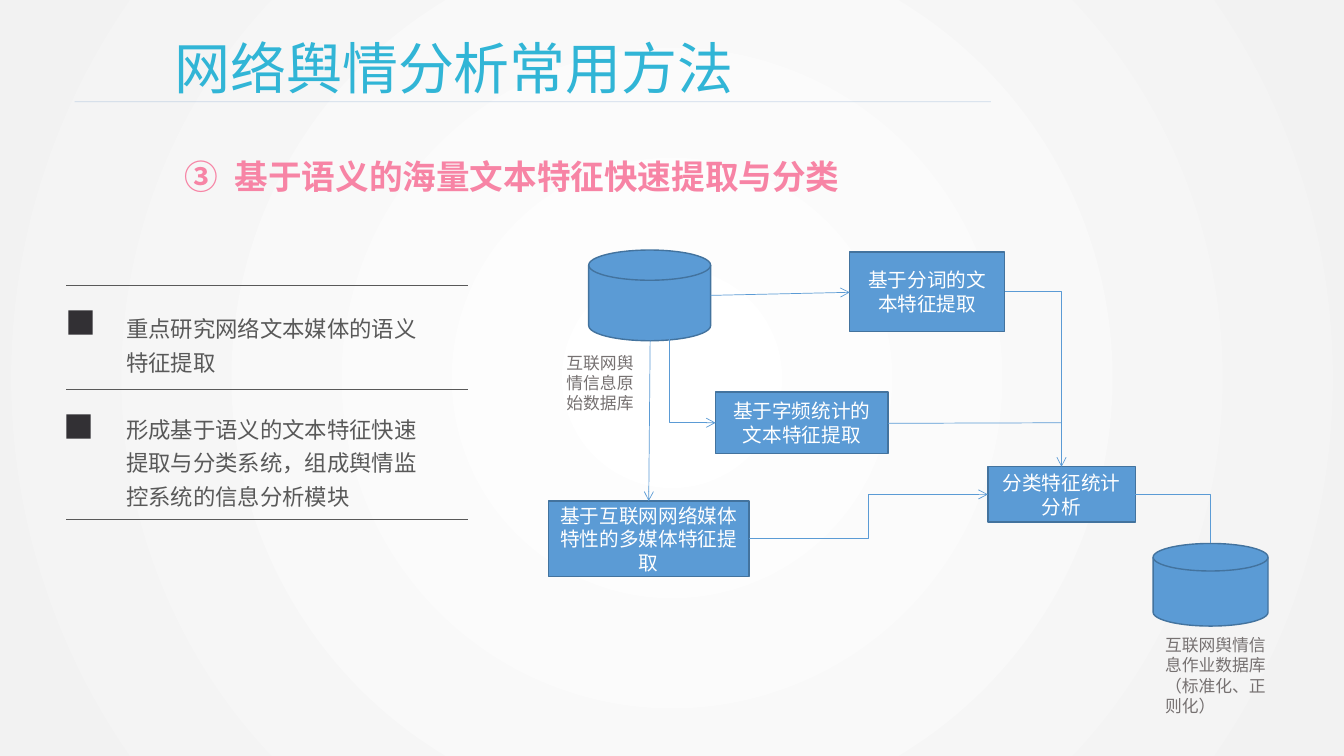
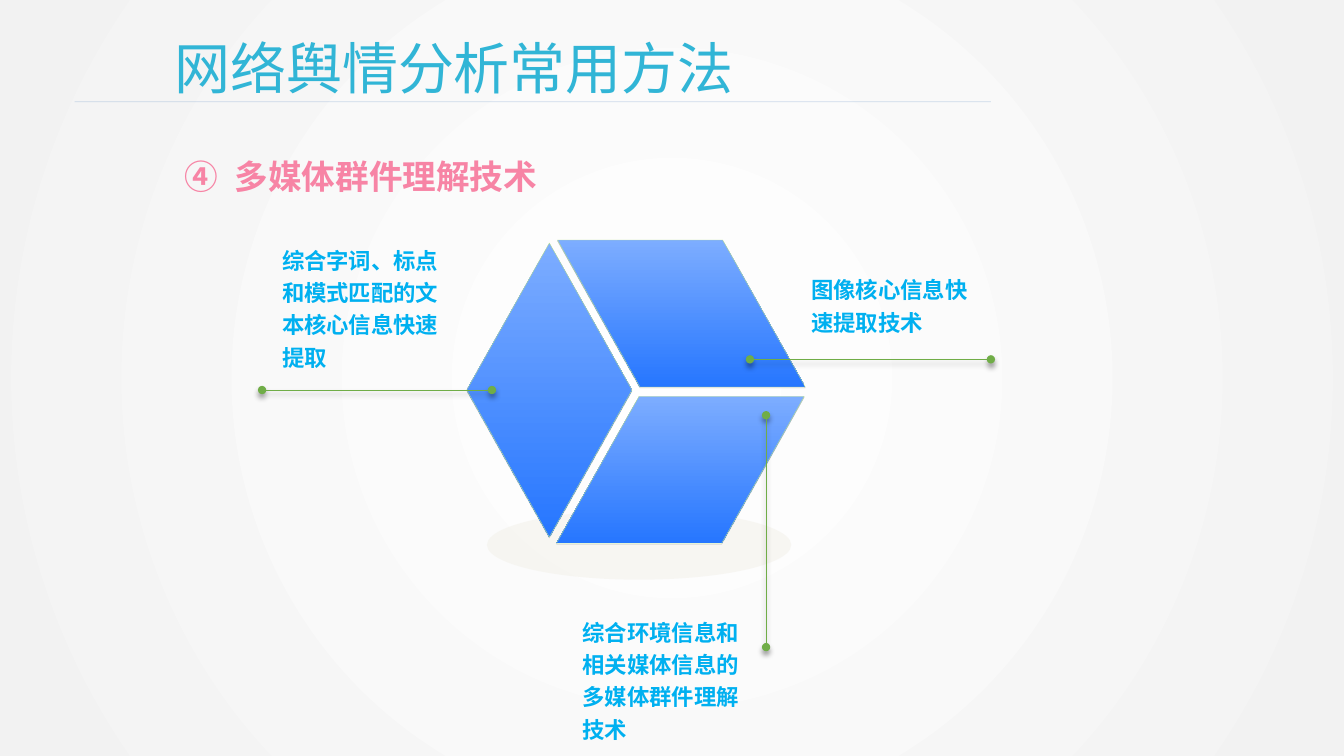
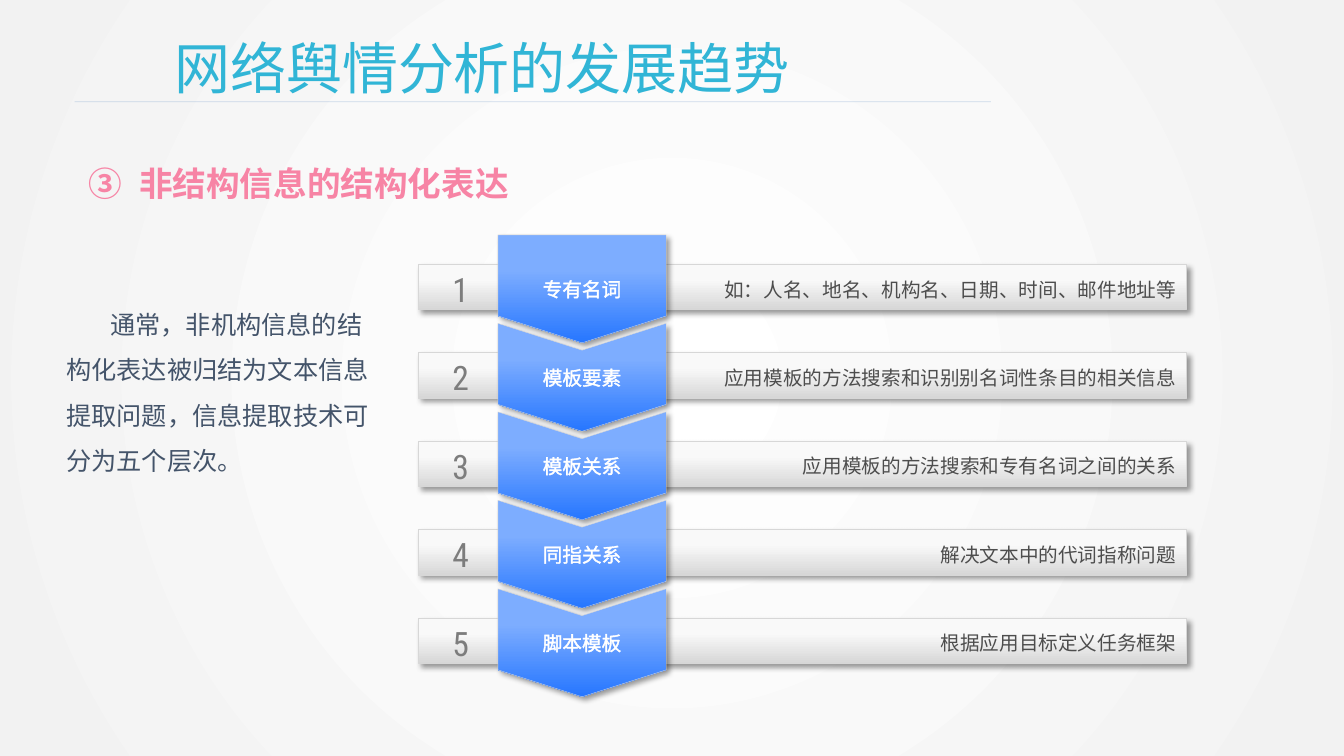
from lxml.etree import SubElement
from pptx import Presentation
from pptx.dml.color import RGBColor
from pptx.enum.shapes import MSO_CONNECTOR as Wire, MSO_SHAPE as Preset
from pptx.enum.text import MSO_ANCHOR as Anchor, MSO_AUTO_SIZE as Fit, PP_ALIGN as Align
from pptx.oxml.ns import qn
from pptx.util import Pt

CJK = "Noto Sans CJK SC"
DIGITS = "Roboto Condensed"

WHITE = RGBColor(0xFF, 0xFF, 0xFF)
PAPER = RGBColor(0xF2, 0xF2, 0xF2)
TITLE_CYAN = RGBColor(0x31, 0xB5, 0xD6)
TITLE_RULE = RGBColor(0x4A, 0x7E, 0xBB)
PINK = RGBColor(0xF7, 0x84, 0xA5)
FLOW_BLUE = RGBColor(0x5B, 0x9B, 0xD5)
FLOW_EDGE = RGBColor(0x43, 0x73, 0x9E)
CAPTION_GRAY = RGBColor(0x76, 0x71, 0x71)
POINT_GRAY = RGBColor(0x59, 0x59, 0x59)
MARKER = RGBColor(0x32, 0x30, 0x34)
SKY = RGBColor(0x00, 0xB0, 0xF0)
GREEN = RGBColor(0x70, 0xAD, 0x47)
FACET_EDGE = RGBColor(0xB8, 0xE0, 0x8C)
LIGHT_BLUE = RGBColor(0x7D, 0xAD, 0xFF)
DEEP_BLUE = RGBColor(0x26, 0x76, 0xFF)
UNDER_GRAY = RGBColor(0xDD, 0xDD, 0xDD)
UNDER_EDGE = RGBColor(0xC0, 0xC0, 0xC0)
GROUND = RGBColor(0xEE, 0xEC, 0xE1)
BAR_LIGHT = RGBColor(0xF9, 0xF9, 0xF9)
BAR_DARK = RGBColor(0xD7, 0xD7, 0xD7)
BAR_TEXT = RGBColor(0x4D, 0x4D, 0x4D)
DIGIT_GRAY = RGBColor(0x7D, 0x7D, 0x7D)
SLATE = RGBColor(0x44, 0x54, 0x6A)

TOP, LEFT, RIGHT = 0, 1, 3  # connection sites of a rectangle
FACET_HALF, FACET_RISE = 59, 105


# ---- Shared drawing helpers ----
def add_xml(parent, tag, **attrs):
    return SubElement(parent, qn(tag), {key: str(value) for key, value in attrs.items()})


def set_alpha(owner, percent):
    add_xml(next(owner.iter(qn("a:srgbClr"))), "a:alpha", val=percent * 1000)


def set_shadow(shape, angle=None):
    """Drop the theme's shadow; with an angle, cast a soft one that way."""
    props = shape.element.spPr
    effects = props.find(qn("a:effectLst"))
    if effects is None:
        effects = add_xml(props, "a:effectLst")
    if angle is not None:
        cast = add_xml(effects, "a:outerShdw", blurRad=Pt(4), dist=Pt(3),
                       dir=angle * 60000, algn="tl", rotWithShape=0)
        add_xml(cast, "a:srgbClr", val="000000")
        set_alpha(cast, 40)


def set_gradient(fill, first, last, start=0):
    """Run the colours from top to bottom."""
    fill.gradient()
    fill.gradient_angle = 270
    for stop, color, place in zip(fill.gradient_stops, (first, last), (start, 1)):
        stop.color.rgb = color
        stop.position = place


def paint(shape, fill, edge=None, width=1, shadow=None):
    """Fill with one colour, or with a tuple of gradient arguments."""
    if isinstance(fill, RGBColor):
        shape.fill.solid()
        shape.fill.fore_color.rgb = fill
    else:
        set_gradient(shape.fill, *fill)
    if edge is None:
        shape.line.fill.background()
    else:
        shape.line.color.rgb = edge
        shape.line.width = Pt(width)
    shape.shadow.inherit = False
    set_shadow(shape, shadow)
    return shape


def block(slide, preset, box, fill, **look):
    return paint(slide.shapes.add_shape(preset, *map(Pt, box)), fill, **look)


def polygon(slide, points, fill, **look):
    corners = [(Pt(x), Pt(y)) for x, y in points]
    builder = slide.shapes.build_freeform(*corners[0], scale=1.0)
    builder.add_line_segments(corners[1:], close=True)
    return paint(builder.convert_to_shape(), fill, **look)


def write(shape, text, *, size, color, font=CJK, bold=False, align=Align.LEFT,
          anchor=Anchor.MIDDLE, spacing=None, indent=0, number=None, outline=None):
    frame = shape.text_frame
    frame.word_wrap = True
    frame.vertical_anchor = anchor
    for index, line in enumerate(text.split("\n")):
        para = frame.add_paragraph() if index else frame.paragraphs[0]
        para.alignment = align
        if spacing:
            para.line_spacing = spacing
        layout = para._p.get_or_add_pPr()
        if indent:
            layout.set("indent", str(Pt(indent)))
        if number:
            layout.set("marL", str(Pt(36)))
            layout.set("indent", str(Pt(-36)))
            add_xml(layout, "a:buFont", typeface=font)
            add_xml(layout, "a:buAutoNum", type="circleNumDbPlain", startAt=number)
        run = para.add_run()
        run.text = line
        run.font.size = Pt(size)
        run.font.bold = bold
        run.font.name = font
        run.font.color.rgb = color
        add_xml(run.font._element, "a:ea", typeface=font)
        if outline:
            run.font._element.insert(0, outline_of(run.font._element, outline))
    return shape


def outline_of(run_props, color):
    stroke = add_xml(run_props, "a:ln", w=Pt(0.75))
    add_xml(add_xml(stroke, "a:solidFill"), "a:srgbClr", val=color)
    return stroke


def label(slide, box, text, **style):
    holder = slide.shapes.add_textbox(*map(Pt, box))
    write(holder, text, anchor=Anchor.TOP, **style)
    holder.text_frame.auto_size = Fit.SHAPE_TO_FIT_TEXT
    return holder


def wire(slide, start, end, color, kind=Wire.STRAIGHT, head=None, tail=None, shadow=None):
    link = slide.shapes.add_connector(kind, *map(Pt, (*start, *end)))
    link.line.color.rgb = color
    link.line.width = Pt(0.5)
    stroke = link.element.spPr.find(qn("a:ln"))
    if head:
        add_xml(stroke, "a:headEnd", type=head)
    if tail:
        add_xml(stroke, "a:tailEnd", type=tail)
    set_shadow(link, shadow)
    return link


def make_corner(link):
    """Turn an elbow with two bends into one with a single bend."""
    link.element.spPr.find(qn("a:prstGeom")).set("prst", "bentConnector2")


# ---- Shared page parts ----
def set_background(master):
    fill = master.background.fill
    set_gradient(fill, WHITE, PAPER)
    gradient = next(master.element.iter(qn("a:gradFill")))
    gradient.remove(gradient.find(qn("a:lin")))
    circle = add_xml(gradient, "a:path", path="circle")
    add_xml(circle, "a:fillToRect", l=50000, t=50000, r=50000, b=50000)


def add_page(deck, title, heading, number, heading_box):
    slide = deck.slides.add_slide(deck.slide_layouts[6])
    label(slide, (117.4, 20.2, 612, 55.4), title, size=40, color=TITLE_CYAN)
    rule = wire(slide, (53.3, 72.7), (707.8, 72.7), TITLE_RULE)
    set_alpha(rule.element.spPr, 25)
    label(slide, heading_box, heading, size=24, color=PINK, bold=True, number=number)
    return slide


# ---- Slide 1: flow of feature extraction ----
def add_flow(slide, x, y):
    def disk(box):
        left, top, width, height = box
        return block(slide, Preset.FLOWCHART_MAGNETIC_DISK,
                     (x + left, y + top, width, height), FLOW_BLUE, edge=FLOW_EDGE)

    def step(box, text):
        left, top, width, height = box
        shape = block(slide, Preset.RECTANGLE, (x + left, y + top, width, height),
                      FLOW_BLUE, edge=FLOW_EDGE)
        return write(shape, text, size=14, color=WHITE, align=Align.CENTER)

    def flow(start, end, kind=Wire.STRAIGHT, tail="arrow"):
        return wire(slide, (x + start[0], y + start[1]), (x + end[0], y + end[1]),
                    FLOW_BLUE, kind, tail=tail)

    # Databases and steps
    disk((28.8, 0, 87.1, 64.8))
    work_data = disk((432, 209.6, 82.1, 59))
    words = step((215.3, 1.4, 110.6, 56.9), "基于分词的文本特征提取")
    counts = step((119.5, 101.5, 123.1, 43.9), "基于字频统计的文本特征提取")
    classify = step((313.9, 154.8, 105.3, 39.6), "分类特征统计分析")
    media = step((0, 179.3, 143.4, 54), "基于互联网网络媒体特性的多媒体特征提取")

    # Straight links
    flow((115.9, 32.4), (215.3, 30.2))
    flow((242.6, 123.8), (366.5, 123.4), tail=None)
    flow((72.7, 64.8), (71.7, 179.3))

    # Bent links
    to_classify = flow((325.9, 29.9), (366.5, 154.8), Wire.ELBOW)
    to_classify.begin_connect(words, RIGHT)
    to_classify.end_connect(classify, TOP)
    make_corner(to_classify)

    to_work = flow((419.2, 174.6), (473, 209.6), Wire.ELBOW, tail=None)
    to_work.begin_connect(classify, RIGHT)
    to_work.end_connect(work_data, TOP)
    next(to_work.element.iter(qn("a:endCxn"))).set("idx", "1")
    make_corner(to_work)

    from_media = flow((143.4, 206.3), (313.9, 174.6), Wire.ELBOW)
    from_media.begin_connect(media, RIGHT)
    from_media.end_connect(classify, LEFT)

    # Down first, then right: a corner turned by three quarters
    start_x, start_y, run, drop = 86.4, 59.8, 33.1, 63.6
    mid_x, mid_y = start_x + run / 2, start_y + drop / 2
    to_counts = flow((start_x, start_y), (start_x + run, start_y + drop), Wire.ELBOW)
    to_counts.end_connect(counts, LEFT)
    to_counts.left, to_counts.top = Pt(x + mid_x - drop / 2), Pt(y + mid_y - run / 2)
    to_counts.width, to_counts.height = Pt(drop), Pt(run)
    turn = to_counts.element.spPr.find(qn("a:xfrm"))
    turn.set("rot", "16200000")
    turn.set("flipH", "1")
    make_corner(to_counts)

    # Captions
    for left, top, width, height, text in (
            (5.8, 69.8, 68.4, 51.1, "互联网舆情信息原始数据库"),
            (433.4, 271.4, 90.7, 65.5, "互联网舆情信息作业数据库\n（标准化、正则化）")):
        label(slide, (x + left, y + top, width, height), text, size=12, color=CAPTION_GRAY)


def add_points(slide, x, y, width):
    for rule_y in (0, 74.2, 167):
        wire(slide, (x, y + rule_y), (x + width, y + rule_y), POINT_GRAY)
    for shift, top, text_top, text_width, text in (
            (1.4, 18, 13, 235.4, "重点研究网络文本媒体的语义特征提取"),
            (0, 92.2, 85, 229.7,
             "形成基于语义的文本特征快速提取与分类系统，组成舆情监控系统的信息分析模块")):
        block(slide, Preset.RECTANGLE, (x + shift, y + top, 17.3, 17.3), MARKER)
        label(slide, (x + 35.6, y + text_top, text_width, 55), text,
              size=16, color=POINT_GRAY, spacing=1.25)


# ---- Slide 2: hexagon of three facets with callouts ----
def add_hexagon(slide, x, y):
    ground = block(slide, Preset.OVAL, (x + 14.4, y + 193, 217.4, 49.7), GROUND)
    set_alpha(ground.element.spPr, 37)
    down, across, up = (FACET_HALF, FACET_RISE), (2 * FACET_HALF, 0), (FACET_HALF, -FACET_RISE)
    facets = (((64.8, 0), down, across), ((64.1, 216.7), across, up), ((0, 107.2), down, up))
    layers = ((0.7, (UNDER_GRAY, WHITE), UNDER_EDGE),
              (0, (LIGHT_BLUE, DEEP_BLUE), FACET_EDGE))
    for sink, fill, edge in layers:
        for (left, top), (ax, ay), (bx, by) in facets:
            px, py = x + left, y + top + sink
            polygon(slide, [(px, py), (px + ax, py + ay),
                            (px + ax + bx, py + ay + by), (px + bx, py + by)],
                    fill, edge=edge, width=0.25)


def add_callout(slide, text, x, y, height, start, end):
    label(slide, (x, y, 136, height), text, size=16, color=SKY, bold=True, spacing=1.2)
    wire(slide, start, end, GREEN, head="oval", tail="oval", shadow=90)


# ---- Slide 3: numbered levels ----
def add_level(slide, x, y, number, name, detail):
    # Bar with the detail
    bar = block(slide, Preset.RECTANGLE, (x, y, 548.6, 32.4), (BAR_LIGHT, BAR_DARK, 0.33),
                edge=BAR_DARK, width=0.25, shadow=45)
    write(bar, detail, size=14, color=BAR_TEXT, align=Align.RIGHT, spacing=1.2)
    label(slide, (x + 17.3, y - 0.4, 38.2, 36), str(number),
          size=24, color=DIGIT_GRAY, font=DIGITS)

    # Chevron with the name
    left, right, top, bottom, dip = x + 56.9, x + 177.1, y - 20.9, y + 56.2, 19.2
    middle = (left + right) / 2
    notch = [(middle, top + dip)] if number > 1 else []
    chevron = polygon(slide, [(left, top), *notch, (right, top), (right, bottom - dip),
                              (middle, bottom), (left, bottom - dip)],
                      (LIGHT_BLUE, DEEP_BLUE, 0.33), edge=BAR_DARK, width=0.25, shadow=45)
    write(chevron, name, size=14, color=WHITE, align=Align.CENTER, outline=WHITE)
    chevron.text_frame.margin_left = chevron.text_frame.margin_right = 0


def main():
    deck = Presentation()
    deck.slide_width, deck.slide_height = Pt(960), Pt(540)
    set_background(deck.slide_master)
    methods = "网络舆情分析常用方法"

    extraction = add_page(deck, methods, "基于语义的海量文本特征快速提取与分类", 3,
                          (124.6, 108, 534.2, 36.4))
    add_flow(extraction, 391.7, 178.6)
    add_points(extraction, 47.5, 203.8, 286.6)

    multimedia = add_page(deck, methods, "多媒体群件理解技术", 4, (124.6, 108, 271.4, 36.4))
    add_hexagon(multimedia, 333.4, 171.4)
    for callout in (
            ("综合环境信息和相关媒体信息的多媒体群件理解技术",
             409, 434.9, 100, (547.2, 296.6), (547.2, 462.2)),
            ("图像核心信息快速提取技术",
             572.4, 190.1, 52, (535.7, 256.7), (707.8, 256.7)),
            ("综合字词、标点和模式匹配的文本核心信息快速提取",
             194.4, 169.2, 100, (351.4, 278.6), (187.2, 278.6))):
        add_callout(multimedia, *callout)

    trend = add_page(deck, "网络舆情分析的发展趋势", "非结构信息的结构化表达", 3,
                     (56.2, 113, 320, 36.4))
    levels = (("专有名词", "如：人名、地名、机构名、日期、时间、邮件地址等"),
              ("模板要素", "应用模板的方法搜索和识别别名词性条目的相关信息"),
              ("模板关系", "应用模板的方法搜索和专有名词之间的关系"),
              ("同指关系", "解决文本中的代词指称问题"),
              ("脚本模板", "根据应用目标定义任务框架"))
    for index, (name, detail) in enumerate(levels):
        add_level(trend, 298.8, 188.7 + 63.2 * index, index + 1, name, detail)
    label(trend, (40.3, 206.6, 232.6, 181.4),
          "通常，非机构信息的结构化表达被归结为文本信息提取问题，信息提取技术可分为五个层次。",
          size=18, color=SLATE, spacing=1.5, indent=31.4)

    deck.save("out.pptx")


if __name__ == "__main__":
    main()
